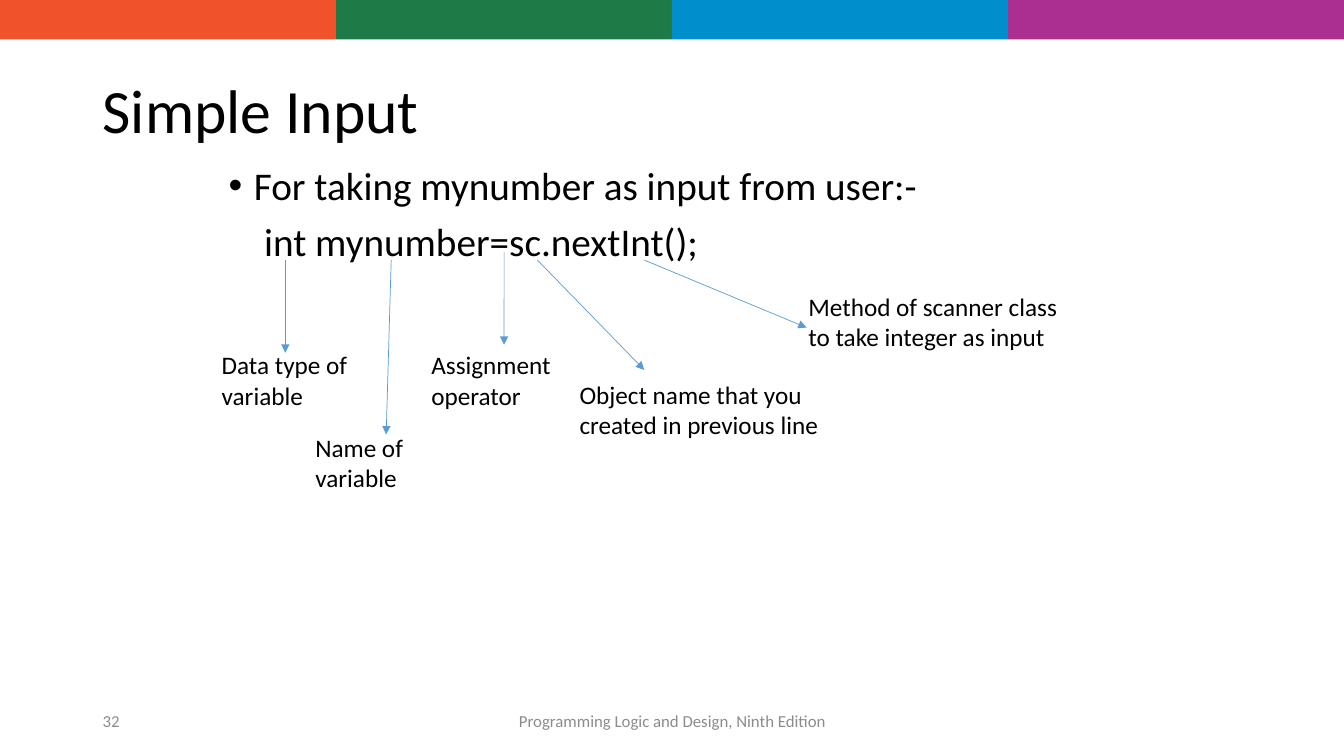
from dataclasses import dataclass
from pptx import Presentation
from pptx.dml.color import RGBColor
from pptx.enum.shapes import MSO_CONNECTOR, MSO_SHAPE
from pptx.enum.text import MSO_ANCHOR, PP_ALIGN
from pptx.oxml.ns import qn
from pptx.util import Inches, Pt
from lxml.etree import SubElement


@dataclass(frozen=True)
class Theme:
    font: str = "Calibri"
    bands: tuple = ("F0532C", "1E7B47", "008FCD", "AB2E91")
    ink: str = "000000"
    muted: str = "8C8C8C"
    arrow: str = "5B9BD5"
    title: int = 44
    body: int = 28
    label: int = 18
    foot: int = 12


class Deck:
    def __init__(self, theme):
        self.theme = theme
        self.prs = Presentation()
        self.prs.slide_width = Inches(13.33)
        self.prs.slide_height = Inches(7.5)
        self.slide = self.prs.slides.add_slide(self.prs.slide_layouts[6])

    def band(self, left, width, height, color):
        box = self.slide.shapes.add_shape(
            MSO_SHAPE.RECTANGLE, Inches(left), 0, Inches(width), Inches(height))
        box.shadow.inherit = False
        box.fill.solid()
        box.fill.fore_color.rgb = RGBColor.from_string(color)
        box.line.fill.background()

    def frame(self, left, top, width, height, anchor=MSO_ANCHOR.TOP):
        box = self.slide.shapes.add_textbox(
            Inches(left), Inches(top), Inches(width), Inches(height))
        box.text_frame.word_wrap = True
        box.text_frame.vertical_anchor = anchor
        return box

    def put(self, para, text, size, color=None):
        run = para.add_run()
        run.text = text
        run.font.name = self.theme.font
        run.font.size = Pt(size)
        run.font.color.rgb = RGBColor.from_string(color or self.theme.ink)

    def title(self, text, *area):
        para = self.frame(*area, MSO_ANCHOR.MIDDLE).text_frame.paragraphs[0]
        para.line_spacing = 0.9
        self.put(para, text, self.theme.title)

    def body(self, point, code, *area):
        text = self.frame(*area).text_frame
        first, second = text.paragraphs[0], text.add_paragraph()
        props = first._p.get_or_add_pPr()
        props.set("marL", str(Inches(0.25)))
        props.set("indent", str(Inches(-0.25)))
        SubElement(props, qn("a:buFont")).set("typeface", "Arial")
        SubElement(props, qn("a:buChar")).set("char", "•")
        second.space_before = Pt(10)
        for para, line in ((first, point), (second, code)):
            para.line_spacing = 0.9
            self.put(para, line, self.theme.body)

    def label(self, text, left, top, width):
        box = self.frame(left, top, width, 0.71)
        self.put(box.text_frame.paragraphs[0], text, self.theme.label)
        return box

    def foot(self, text, left, width, align):
        box = self.frame(left, 6.95, width, 0.4, MSO_ANCHOR.MIDDLE)
        para = box.text_frame.paragraphs[0]
        para.alignment = align
        self.put(para, text, self.theme.foot, self.theme.muted)

    def arrow(self, start, end):
        line = self.slide.shapes.add_connector(
            MSO_CONNECTOR.STRAIGHT, *(Inches(n) for n in start + end))
        line.line.color.rgb = RGBColor.from_string(self.theme.arrow)
        line.line.width = Pt(0.5)
        props = line._element.spPr
        SubElement(props.find(qn("a:ln")), qn("a:tailEnd")).set("type", "triangle")
        SubElement(props, qn("a:effectLst"))
        return line


def main():
    theme = Theme()
    deck = Deck(theme)

    # Colour strip along the top
    step = 13.33 / len(theme.bands)
    for i, color in enumerate(theme.bands):
        deck.band(i * step, step, 0.39, color)

    # Title and statement
    deck.title("Simple Input", 0.92, 0.4, 11.5, 1.45)
    deck.body("For taking mynumber as input from user:-",
              "    int mynumber=sc.nextInt();", 2.17, 1.6, 9, 4.95)

    # Footer
    deck.foot("32", 0.92, 3, PP_ALIGN.LEFT)
    deck.foot("Programming Logic and Design, Ninth Edition", 4.42, 4.5, PP_ALIGN.CENTER)

    # Each part of the statement: label, its place, arrow start and end
    parts = (
        ("Data type of variable", (2.1, 3.42, 1.62), (2.83, 2.58), (2.83, 3.5)),
        ("Name of variable", (3.03, 4.24, 1.6), (3.88, 2.58), (3.83, 4.31)),
        ("Object name that you created in previous line",
         (5.65, 3.71, 2.66), (5.33, 2.58), (6.39, 3.67)),
        ("Method of scanner class to take integer as input",
         (7.92, 2.84, 2.93), (6.39, 2.58), (8, 3.25)),
    )
    for text, place, start, end in parts:
        deck.label(text, *place)
        deck.arrow(start, end)

    # The operator's arrow meets the top of its label
    sign = deck.label("Assignment operator", 4.18, 3.42, 1.64)
    deck.arrow((5, 2.5), (5, 3.42)).end_connect(sign, 0)

    deck.prs.save("out.pptx")


if __name__ == "__main__":
    main()
